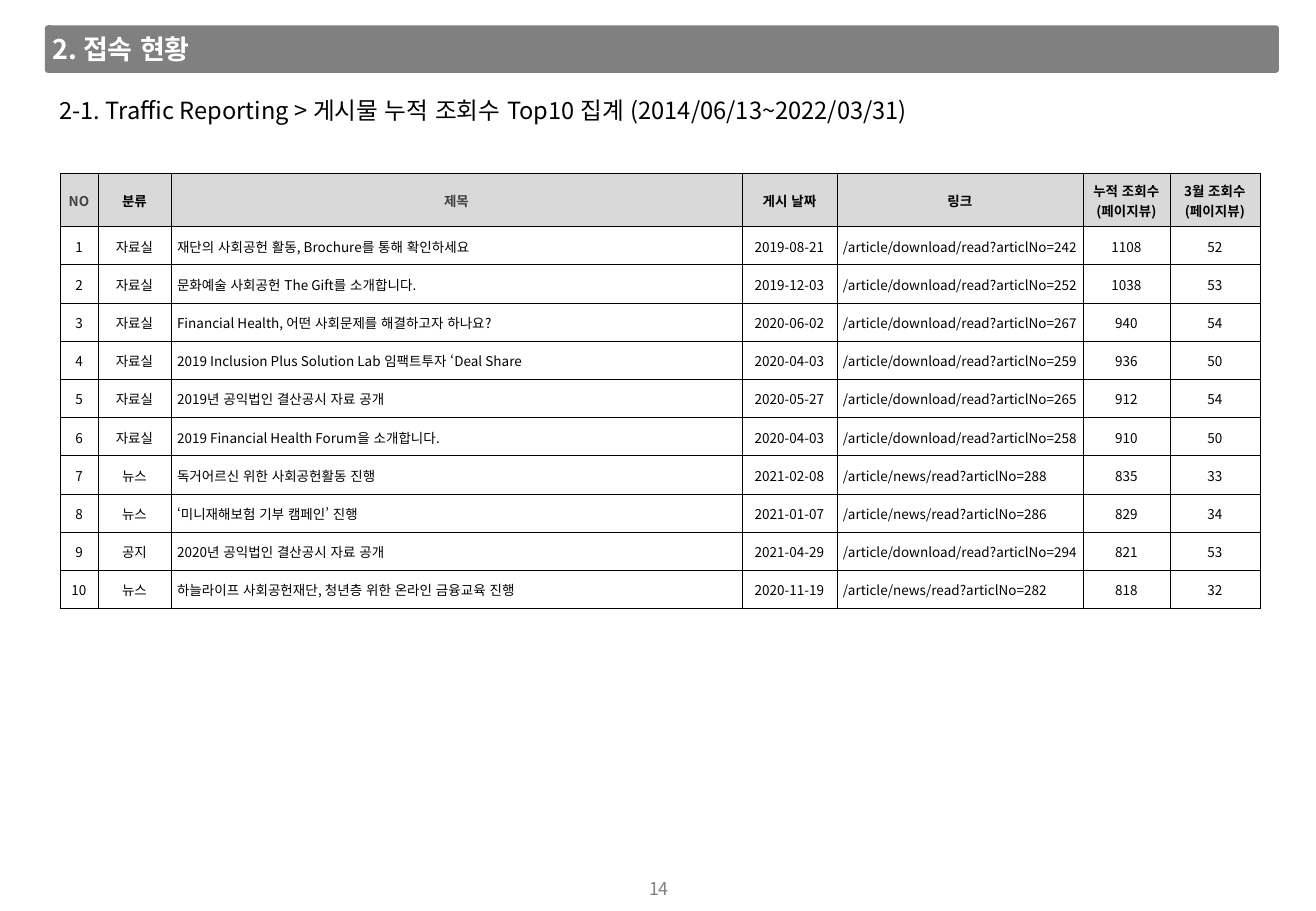
from lxml.etree import SubElement
from pptx import Presentation
from pptx.dml.color import RGBColor
from pptx.enum.lang import MSO_LANGUAGE_ID
from pptx.enum.shapes import MSO_SHAPE
from pptx.enum.text import MSO_ANCHOR, PP_ALIGN
from pptx.oxml.ns import qn
from pptx.util import Pt

FONT = "Noto Sans CJK KR"
COLORS = {
    "black": "000000",
    "white": "FFFFFF",
    "gray": "808080",
    "dark": "404040",
    "header": "D9D9D9",
}
COLUMN_WIDTHS = [22.5, 43.3, 338.4, 56.3, 145.8, 51.6, 53.3]
HEADER_HEIGHT, ROW_HEIGHT = 31.4, 22.65
LEFT_COLUMNS = (2, 4)  # title and link
DARK_HEADERS = (0, 2)

HEADERS = ["NO", "분류", "제목", "게시 날짜", "링크",
           "누적 조회수\n(페이지뷰)", "3월 조회수\n(페이지뷰)"]
# Category, title, date, link section and article number, total views, March views
POSTS = [
    ("자료실", "재단의 사회공헌 활동, Brochure를 통해 확인하세요", "2019-08-21", "download", 242, 1108, 52),
    ("자료실", "문화예술 사회공헌 The Gift를 소개합니다.", "2019-12-03", "download", 252, 1038, 53),
    ("자료실", "Financial Health, 어떤 사회문제를 해결하고자 하나요?", "2020-06-02", "download", 267, 940, 54),
    ("자료실", "2019 Inclusion Plus Solution Lab 임팩트투자 ‘Deal Share", "2020-04-03", "download", 259, 936, 50),
    ("자료실", "2019년 공익법인 결산공시 자료 공개", "2020-05-27", "download", 265, 912, 54),
    ("자료실", "2019 Financial Health Forum을 소개합니다.", "2020-04-03", "download", 258, 910, 50),
    ("뉴스", "독거어르신 위한 사회공헌활동 진행", "2021-02-08", "news", 288, 835, 33),
    ("뉴스", "‘미니재해보험 기부 캠페인’ 진행", "2021-01-07", "news", 286, 829, 34),
    ("공지", "2020년 공익법인 결산공시 자료 공개", "2021-04-29", "download", 294, 821, 53),
    ("뉴스", "하늘라이프 사회공헌재단, 청년층 위한 온라인 금융교육 진행", "2020-11-19", "news", 282, 818, 32),
]


def rgb(name):
    return RGBColor.from_string(COLORS[name])


def write_text(frame, text, size, color="black", bold=False, align=PP_ALIGN.LEFT, indent=0):
    frame.text = text
    for para in frame.paragraphs:
        para.alignment = align
        if indent:
            para._p.get_or_add_pPr().set("marL", str(Pt(indent)))
        for span in para.runs:
            font = span.font
            font.name, font.size, font.bold = FONT, Pt(size), bold
            font.color.rgb = rgb(color)
            font.language_id = MSO_LANGUAGE_ID.KOREAN
            SubElement(font._element, qn("a:ea"), typeface=FONT)


def place_text(box, left, top, width, height, text, wrap=True, **text_format):
    box.left, box.top, box.width, box.height = Pt(left), Pt(top), Pt(width), Pt(height)
    frame = box.text_frame
    frame.word_wrap = wrap
    frame.vertical_anchor = MSO_ANCHOR.MIDDLE
    frame.margin_left = frame.margin_right = Pt(3.6)
    frame.margin_top = frame.margin_bottom = 0
    write_text(frame, text, **text_format)


def add_text_box(page, *frame_and_text, **text_format):
    box = page.shapes.add_textbox(0, 0, 0, 0)
    place_text(box, *frame_and_text, **text_format)


def add_title_bar(page):
    bar = page.shapes.add_shape(MSO_SHAPE.ROUNDED_RECTANGLE, Pt(26.6), Pt(15), Pt(731.5), Pt(28.2))
    bar.adjustments[0] = 0.07
    bar.shadow.inherit = False
    bar.fill.solid()
    bar.fill.fore_color.rgb = rgb("gray")
    bar.line.fill.background()
    # Send the bar behind the title
    page.shapes._spTree.insert(2, bar._element)


def format_cell(cell, text, fill=None, **text_format):
    cell.margin_left = cell.margin_right = cell.margin_top = Pt(0.7)
    cell.margin_bottom = 0
    cell.vertical_anchor = MSO_ANCHOR.MIDDLE
    properties = cell._tc.get_or_add_tcPr()
    for side in ("lnL", "lnR", "lnT", "lnB"):
        border = SubElement(properties, qn(f"a:{side}"), w=str(Pt(0.25)))
        solid = SubElement(border, qn("a:solidFill"))
        SubElement(solid, qn("a:srgbClr"), val=COLORS["black"])
    if fill:
        cell.fill.solid()
        cell.fill.fore_color.rgb = rgb(fill)
    else:
        cell.fill.background()
    write_text(cell.text_frame, text, size=8, **text_format)


def add_post_table(page):
    height = HEADER_HEIGHT + ROW_HEIGHT * len(POSTS)
    table = page.shapes.add_table(len(POSTS) + 1, len(HEADERS), Pt(35.6), Pt(102.8),
                                  Pt(sum(COLUMN_WIDTHS)), Pt(height)).table
    table.first_row = table.horz_banding = False
    for column, width in zip(table.columns, COLUMN_WIDTHS):
        column.width = Pt(width)
    for index, row in enumerate(table.rows):
        row.height = Pt(ROW_HEIGHT if index else HEADER_HEIGHT)

    # Header row
    for column, text in enumerate(HEADERS):
        format_cell(table.cell(0, column), text, fill="header", bold=True, align=PP_ALIGN.CENTER,
                    color="dark" if column in DARK_HEADERS else "black")

    # Ranked posts
    for rank, (category, title, date, section, article, total, march) in enumerate(POSTS, 1):
        link = f"/article/{section}/read?articlNo={article}"
        for column, value in enumerate((rank, category, title, date, link, total, march)):
            is_left = column in LEFT_COLUMNS
            format_cell(table.cell(rank, column), str(value), indent=2.9 if is_left else 0,
                        align=PP_ALIGN.LEFT if is_left else PP_ALIGN.CENTER)


def main():
    deck = Presentation()
    deck.slide_width, deck.slide_height = Pt(780), Pt(540)
    page = deck.slides.add_slide(deck.slide_layouts[5])

    # Section title
    add_title_bar(page)
    place_text(page.shapes.title, 27.4, 15.8, 118, 26.6, "2. 접속 현황",
               size=16, color="white", bold=True)
    add_text_box(page, 31.7, 53.3, 571, 24.5,
                 "2-1. Traffic Reporting > 게시물 누적 조회수 Top10 집계 (2014/06/13~2022/03/31)", size=14)

    # Most viewed posts
    add_post_table(page)

    # Page number
    add_text_box(page, 380.9, 517, 19.4, 18.7, "14", wrap=False, size=10.5,
                 color="gray", align=PP_ALIGN.CENTER)
    deck.save("out.pptx")


if __name__ == "__main__":
    main()
